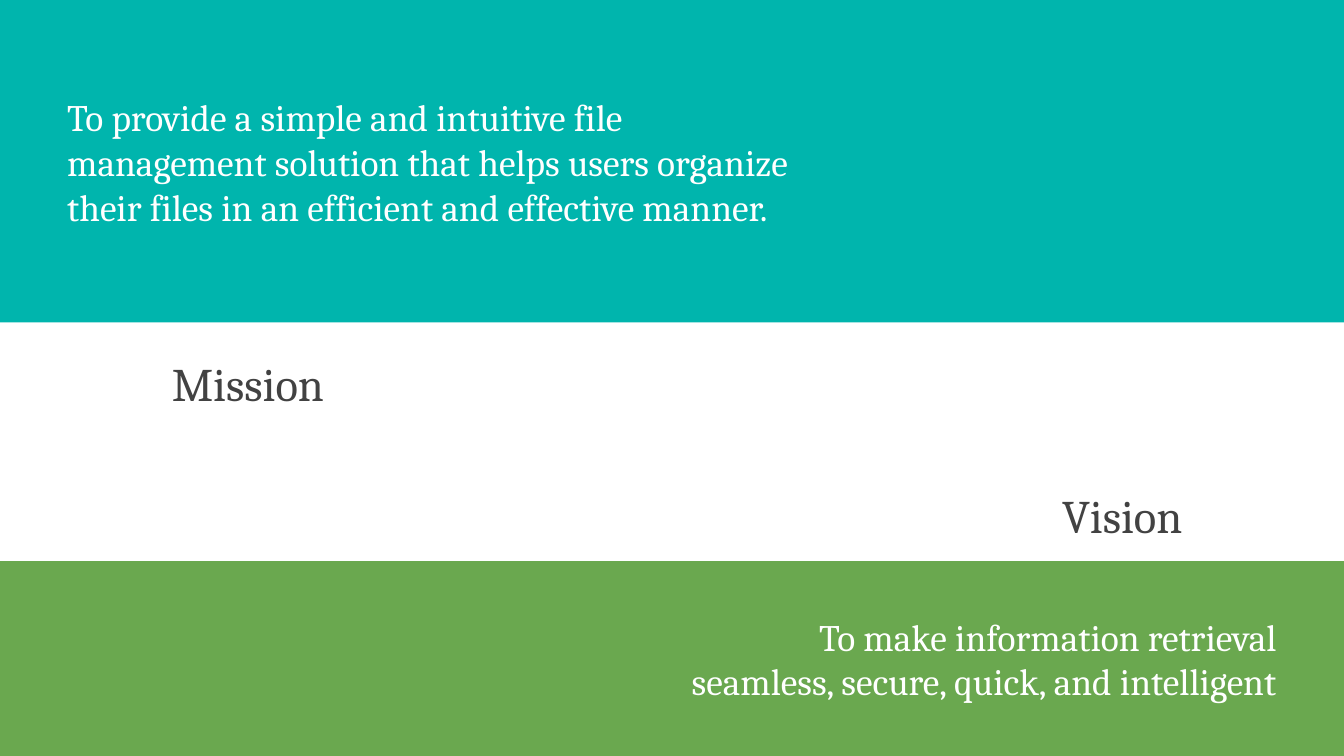
from dataclasses import dataclass

import pptx
import pptx.dml.color
import pptx.enum.shapes
import pptx.enum.text
import pptx.util

Inches = pptx.util.Inches
Align = pptx.enum.text.PP_ALIGN
Anchor = pptx.enum.text.MSO_ANCHOR


@dataclass(frozen=True)
class Theme:
    """Colours, font and type sizes of the deck."""
    teal: str = "00B5AD"
    green: str = "6AA84F"
    white: str = "FFFFFF"
    ink: str = "424242"
    font: str = "Cambria"
    body: int = 20
    heading: int = 25


THEME = Theme()
WIDTH = 10
HEIGHT = WIDTH * 9 / 16
VISION_HEIGHT = 1.45
HEADING_SIZE = (1.48, 0.49)


def rgb(value):
    """Turn a hex string into a colour."""
    return pptx.dml.color.RGBColor.from_string(value)


def write_text(shape, text, *, size, color, align=Align.LEFT, anchor=Anchor.TOP,
               left=0.1, right=0.1, line_spacing=None, space_after=None):
    """Fill a shape with one formatted paragraph."""
    frame = shape.text_frame
    frame.word_wrap = True
    frame.vertical_anchor = anchor
    frame.margin_left, frame.margin_right = Inches(left), Inches(right)
    frame.margin_top = frame.margin_bottom = Inches(0.1)
    para = frame.paragraphs[0]
    para.alignment = align
    para.line_spacing = line_spacing
    if space_after is not None:
        para.space_after = pptx.util.Pt(space_after)
    span = para.add_run()
    span.text = text
    span.font.name = THEME.font
    span.font.size = pptx.util.Pt(size)
    span.font.color.rgb = rgb(color)


def add_band(page, box, text, fill, **text_format):
    """Draw a full-width coloured band holding a statement."""
    band = page.shapes.add_shape(
        pptx.enum.shapes.MSO_SHAPE.RECTANGLE, *map(Inches, box))
    band.shadow.inherit = False
    band.fill.solid()
    band.fill.fore_color.rgb = rgb(fill)
    band.line.fill.background()
    write_text(band, text, size=THEME.body, color=THEME.white,
               anchor=Anchor.MIDDLE, **text_format)


def add_heading(page, box, text, **text_format):
    """Place a heading in the white strip between the bands."""
    heading = page.shapes.add_textbox(*map(Inches, box))
    write_text(heading, text, size=THEME.heading, color=THEME.ink, **text_format)


def build_page(deck):
    """Compose the mission and vision slide."""
    page = deck.slides.add_slide(deck.slide_layouts[6])
    page.background.fill.solid()
    page.background.fill.fore_color.rgb = rgb(THEME.white)
    add_band(page, (0, 0, WIDTH, 2.4),
             "To provide a simple and intuitive file management solution that "
             "helps users organize their files in an efficient and effective manner.",
             THEME.teal, left=0.5, right=4)
    add_heading(page, (1.18, 2.48, *HEADING_SIZE), "Mission",
                line_spacing=1.15, space_after=16)
    add_band(page, (0, HEIGHT - VISION_HEIGHT, WIDTH, VISION_HEIGHT),
             "To make information retrieval seamless, secure, quick, and intelligent",
             THEME.green, left=5, right=0.5, align=Align.RIGHT)
    add_heading(page, (7.61, 3.52, *HEADING_SIZE), "Vision", align=Align.CENTER)


def main():
    """Build and save the deck."""
    deck = pptx.Presentation()
    deck.slide_width, deck.slide_height = Inches(WIDTH), Inches(HEIGHT)
    build_page(deck)
    deck.save("out.pptx")


if __name__ == "__main__":
    main()
